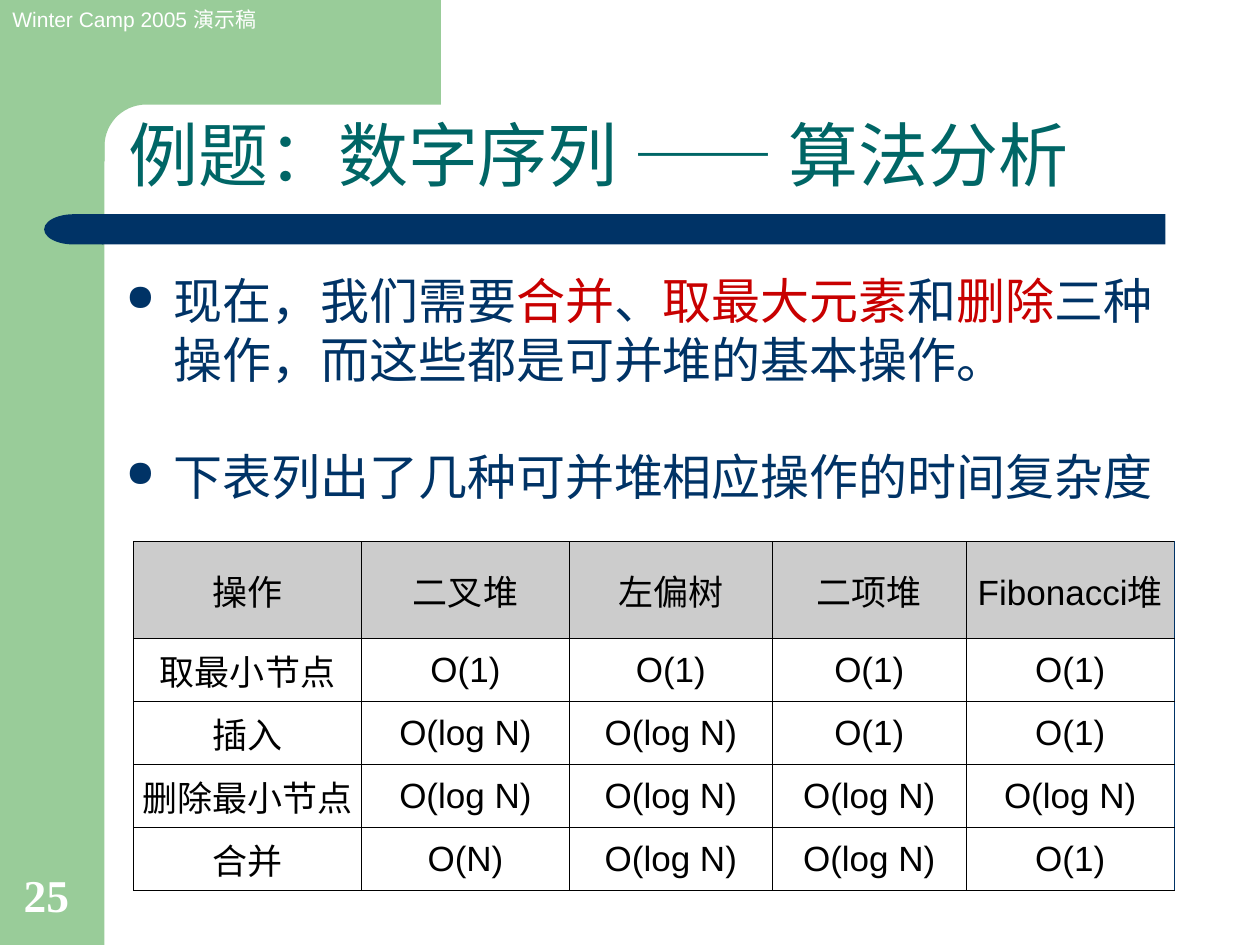
from dataclasses import dataclass
from math import cos, radians, sin

from lxml.etree import SubElement
from pptx import Presentation
from pptx.dml.color import RGBColor
from pptx.enum.shapes import MSO_SHAPE as Shape
from pptx.enum.text import MSO_ANCHOR as Anchor, PP_ALIGN as Align
from pptx.oxml.ns import qn
from pptx.util import Inches, Pt


@dataclass(frozen=True)
class Theme:
    green: str = "99CC99"
    navy: str = "003366"
    teal: str = "006666"
    red: str = "C80000"
    gray: str = "CCCCCC"
    black: str = "000000"
    white: str = "FFFFFF"
    sans: str = "Arial"
    serif: str = "Times New Roman"
    title: int = 40
    body: int = 28
    number: int = 26
    cell: int = 20
    header: int = 12


def add_color(parent, color):
    SubElement(parent, qn("a:srgbClr"), val=color)


class SlideBuilder:
    def __init__(self, slide, theme):
        self.slide = slide
        self.theme = theme

    def paint(self, s, color):
        s.shadow.inherit = False
        s.fill.solid()
        s.fill.fore_color.rgb = RGBColor.from_string(color)
        s.line.fill.background()

    def shape(self, kind, box, color):
        s = self.slide.shapes.add_shape(kind, *map(Inches, box))
        self.paint(s, color)
        return s

    def outline(self, points, color):
        pts = [(Inches(x), Inches(y)) for x, y in points]
        builder = self.slide.shapes.build_freeform(*pts[0])
        builder.add_line_segments(pts[1:], close=True)
        self.paint(builder.convert_to_shape(), color)

    def run(self, p, text, size, color, font=None, bold=False):
        r = p.add_run()
        r.text = text
        r.font.size = Pt(size)
        r.font.name = font or self.theme.sans
        r.font.bold = bold
        r.font.color.rgb = RGBColor.from_string(color)

    def frame(self, box, anchor=Anchor.TOP):
        tf = self.slide.shapes.add_textbox(*map(Inches, box)).text_frame
        tf.word_wrap = True
        tf.vertical_anchor = anchor
        return tf

    def label(self, box, text, size, color, anchor=Anchor.TOP, before=0,
              spacing=None, **style):
        p = self.frame(box, anchor).paragraphs[0]
        p.space_before = Pt(before)
        p.line_spacing = spacing
        self.run(p, text, size, color, **style)

    def bullets(self, box, items):
        """Each item is (space before, [(text, color), ...])."""
        tf = self.frame(box)
        for i, (before, runs) in enumerate(items):
            p = tf.add_paragraph() if i else tf.paragraphs[0]
            p.space_before = Pt(before)
            pPr = p._p.get_or_add_pPr()
            pPr.set("marL", str(Inches(0.38)))
            pPr.set("indent", str(-Inches(0.38)))
            add_color(SubElement(pPr, qn("a:buClr")), self.theme.navy)
            SubElement(pPr, qn("a:buSzPct"), val="75000")
            SubElement(pPr, qn("a:buChar"), char="●")
            for text, color in runs:
                self.run(p, text, self.theme.body, color)

    def border(self, cell, side, color, width):
        ln = SubElement(cell._tc.get_or_add_tcPr(), qn(f"a:ln{side}"),
                        w=str(Pt(width)))
        add_color(SubElement(ln, qn("a:solidFill")), color)

    def table(self, left, top, widths, row_height, rows):
        t = self.theme
        size = sum(widths), row_height * len(rows)
        table = self.slide.shapes.add_table(
            len(rows), len(widths), *map(Inches, (left, top, *size))).table
        table.first_row = table.horz_banding = False
        for column, width in zip(table.columns, widths):
            column.width = Inches(width)
        for i, texts in enumerate(rows):
            table.rows[i].height = Inches(row_height)
            for j, text in enumerate(texts):
                cell = table.cell(i, j)
                for side in "LRTB":
                    outer = side == "R" and j == len(widths) - 1
                    self.border(cell, side, *((t.navy, 0.75) if outer
                                              else (t.black, 0.45)))
                if i == 0:
                    cell.fill.solid()
                    cell.fill.fore_color.rgb = RGBColor.from_string(t.gray)
                else:
                    cell.fill.background()
                cell.vertical_anchor = Anchor.MIDDLE
                cell.margin_left = cell.margin_right = Inches(0.06)
                p = cell.text_frame.paragraphs[0]
                p.alignment = Align.CENTER
                self.run(p, text, t.cell, t.black)


def main():
    prs = Presentation()
    prs.slide_width, prs.slide_height = Inches(10), Inches(7.5)
    t = Theme()
    b = SlideBuilder(prs.slides.add_slide(prs.slide_layouts[6]), t)

    b.shape(Shape.RECTANGLE, (0, 0, 0.83, 7.5), t.green)
    radius, center = 0.33, 1.16
    corner = [(center - radius * sin(radians(a)), center - radius * cos(radians(a)))
              for a in range(0, 91, 6)]
    b.outline([(0.5, 0), (3.5, 0), (3.5, 0.83), *corner, (0.83, 1.28), (0.5, 1.28)],
              t.green)
    bar = b.shape(Shape.ROUNDED_RECTANGLE, (0.81, 1.7, 8.44, 0.24), t.navy)
    bar.adjustments[0] = 0
    bar_end = b.shape(Shape.FLOWCHART_DELAY, (0.35, 1.7, 0.47, 0.24), t.navy)
    bar_end.rotation = 180

    b.label((0, 0, 2.28, 0.3), "Winter Camp 2005 演示稿", t.header, t.white, before=7.5)
    b.label((0.92, 0.93, 8.32, 0.68), "例题：数字序列 —— 算法分析", t.title, t.teal,
            Anchor.BOTTOM, spacing=0.9)
    b.bullets((0.9, 2.1, 8.51, 1.96), [
        (7, [("现在，我们需要", t.navy), ("合并", t.red), ("、", t.navy),
             ("取最大元素", t.red), ("和", t.navy), ("删除", t.red),
             ("三种操作，而这些都是可并堆的基本操作。", t.navy)]),
        (33, [("下表列出了几种可并堆相应操作的时间复杂度", t.navy)]),
    ])

    const, log, linear = "O(1)", "O(log N)", "O(N)"
    b.table(1.06, 4.3, [1.81, 1.65, 1.61, 1.54, 1.65], 0.5, [
        ["操作", "二叉堆", "左偏树", "二项堆", "Fibonacci堆"],
        ["取最小节点", const, const, const, const],
        ["插入", log, log, const, const],
        ["删除最小节点", log, log, log, log],
        ["合并", linear, log, log, const],
    ])
    b.label((0.09, 6.83, 0.64, 0.53), "25", t.number, t.white, Anchor.BOTTOM,
            font=t.serif, bold=True)
    prs.save("out.pptx")


if __name__ == "__main__":
    main()
